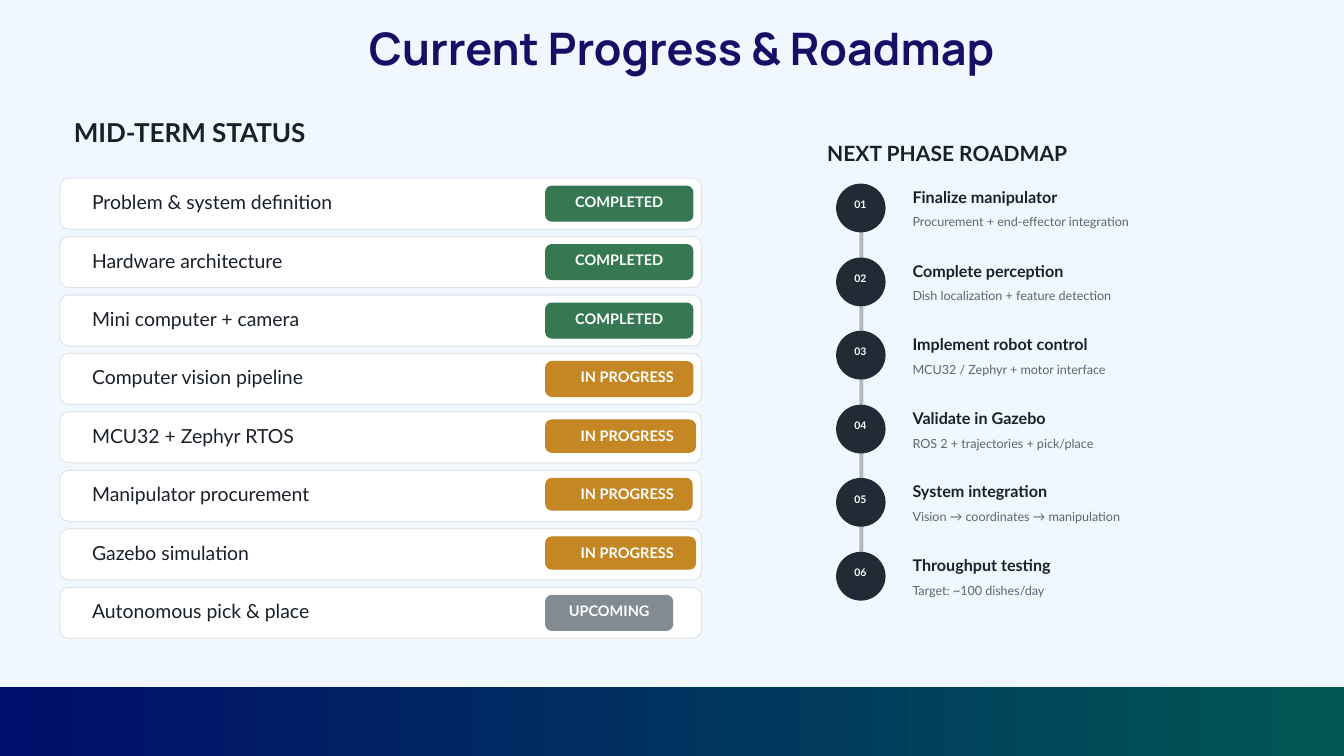
from pptx import Presentation
from pptx.dml.color import RGBColor
from pptx.enum.shapes import MSO_SHAPE as Preset
from pptx.enum.text import MSO_ANCHOR as Anchor, PP_ALIGN as Align
from pptx.util import Emu, Pt

EMU_PER_PX = 9144
SLIDE_W, SLIDE_H = 2000, 1125

SKY = RGBColor(0xF0, 0xF7, 0xFF)
NAVY = RGBColor(0x00, 0x0E, 0x6B)
TEAL = RGBColor(0x00, 0x57, 0x54)
INDIGO = RGBColor(0x18, 0x0E, 0x66)
INK = RGBColor(0x19, 0x20, 0x2A)
SLATE = RGBColor(0x5B, 0x65, 0x73)
CHARCOAL = RGBColor(0x22, 0x2A, 0x35)
RAIL = RGBColor(0xB4, 0xB9, 0xC1)
BORDER = RGBColor(0xE1, 0xE4, 0xE9)
WHITE = RGBColor(0xFF, 0xFF, 0xFF)
GREEN = RGBColor(0x35, 0x78, 0x52)
AMBER = RGBColor(0xC4, 0x87, 0x23)
GREY = RGBColor(0x82, 0x8A, 0x92)

STATUS_STYLES = {
    "COMPLETED": (GREEN, 179),
    "IN PROGRESS": (AMBER, 203),
    "UPCOMING": (GREY, 149),
}
TASKS = [
    ("Problem & system definition", "COMPLETED", 219, 52),
    ("Hardware architecture", "COMPLETED", 219, 52),
    ("Mini computer + camera", "COMPLETED", 219, 52),
    ("Computer vision pipeline", "IN PROGRESS", 219, 52),
    ("MCU32 + Zephyr RTOS", "IN PROGRESS", 223, 48),
    ("Manipulator procurement", "IN PROGRESS", 218, 47),
    ("Gazebo simulation", "IN PROGRESS", 223, 48),
    ("Autonomous pick & place", "UPCOMING", 189, 52),
]
STEPS = [
    ("Finalize manipulator", "Procurement + end-effector integration"),
    ("Complete perception", "Dish localization + feature detection"),
    ("Implement robot control", "MCU32 / Zephyr + motor interface"),
    ("Validate in Gazebo", "ROS 2 + trajectories + pick/place"),
    ("System integration", "Vision → coordinates → manipulation"),
    ("Throughput testing", "Target: ~100 dishes/day"),
]


def px(*lengths):
    """Turn pixel lengths into EMU."""
    return [Emu(round(length * EMU_PER_PX)) for length in lengths]


def add_text(slide, text, box, *, size, leading, color=INK, bold=False,
             font="Lato", align=Align.LEFT):
    """Place one line of text in a box without margins."""
    frame = slide.shapes.add_textbox(*px(*box)).text_frame
    frame.word_wrap = True
    frame.vertical_anchor = Anchor.TOP
    frame.margin_left = frame.margin_top = 0
    frame.margin_right = frame.margin_bottom = 0
    line = frame.paragraphs[0]
    line.alignment = align
    line.line_spacing = Pt(leading)
    run = line.add_run()
    run.text = text
    run.font.name = font
    run.font.size = Pt(size)
    run.font.bold = bold
    run.font.color.rgb = color


def add_panel(slide, preset, box, fill, border=None, radius=None):
    """Place a flat preset shape, with an optional border and corner radius."""
    panel = slide.shapes.add_shape(preset, *px(*box))
    panel.shadow.inherit = False
    panel.fill.solid()
    panel.fill.fore_color.rgb = fill
    if border is None:
        panel.line.fill.background()
    else:
        panel.line.color.rgb = border
        panel.line.width = Pt(1.13)
    if radius is not None:
        panel.adjustments[0] = radius / min(box[2:])
    return panel


def add_footer(slide, box):
    """Draw the gradient band along the bottom."""
    band = add_panel(slide, Preset.RECTANGLE, box, NAVY)
    band.fill.gradient()
    band.fill.gradient_angle = 0
    for stop, color in zip(band.fill.gradient_stops, (NAVY, TEAL)):
        stop.color.rgb = color


def add_task(slide, box, task, status, badge_w, badge_h):
    """Draw one task card with its status badge."""
    left, top, _, _ = box
    color, status_w = STATUS_STYLES[status]
    add_panel(slide, Preset.ROUNDED_RECTANGLE, box, WHITE, BORDER, 13)
    add_panel(slide, Preset.ROUNDED_RECTANGLE,
              (left + 723, top + 12, badge_w, badge_h), color, color, 9)
    add_text(slide, task, (left + 48, top + 18, 644, 34),
             size=20.8, leading=25)
    add_text(slide, status, (left + 743, top + 22, status_w, 25), size=15.6,
             leading=18.7, color=WHITE, bold=True, align=Align.CENTER)


def add_status(slide, box):
    """Fill the status column with its heading and task cards."""
    left, top, width, height = box
    card_h, heading_h = 76, 92
    pitch = (height - heading_h - card_h) / (len(TASKS) - 1)
    add_text(slide, "MID-TERM STATUS", (left + 21, top, width, 46),
             size=27.9, leading=33.5, bold=True)
    for i, task in enumerate(TASKS):
        card_top = round(top + heading_h + i * pitch)
        add_task(slide, (left, card_top, width, card_h), *task)


def add_step(slide, box, number, title, detail):
    """Draw one numbered roadmap step."""
    left, top, width, height = box
    text_left, text_w = left + 113, width - 113
    add_panel(slide, Preset.OVAL, (left, top, 72, height), CHARCOAL, CHARCOAL)
    add_text(slide, f"{number:02d}", (left + 19, top + 21, 33, 19), size=11.2,
             leading=13.5, color=WHITE, bold=True, align=Align.CENTER)
    add_text(slide, title, (text_left, top + 5, text_w, 28),
             size=17.3, leading=20.7, bold=True)
    add_text(slide, detail, (text_left, top + 45, text_w, 23),
             size=13.5, leading=16.2, color=SLATE)


def add_roadmap(slide, box):
    """Fill the roadmap column with its heading, rail and steps."""
    left, top, width, height = box
    step_left, step_h, heading_h = left + 14, 71, 65
    pitch = (height - heading_h - step_h) / (len(STEPS) - 1)
    add_text(slide, "NEXT PHASE ROADMAP", (left, top, width, 38),
             size=22.5, leading=27, bold=True)
    add_panel(slide, Preset.RECTANGLE, (left + 48, top + 81, 6, 593), RAIL)
    for i, step in enumerate(STEPS):
        step_top = round(top + heading_h + i * pitch)
        add_step(slide, (step_left, step_top, width - 14, step_h), i + 1, *step)


def main():
    """Build and save the progress slide."""
    deck = Presentation()
    deck.slide_width, deck.slide_height = px(SLIDE_W, SLIDE_H)
    slide = deck.slides.add_slide(deck.slide_layouts[6])
    slide.background.fill.solid()
    slide.background.fill.fore_color.rgb = SKY
    add_footer(slide, (0, 1022, SLIDE_W, 103))
    add_text(slide, "Current Progress & Roadmap", (177, 17, 1675, 96), size=48,
             leading=67.1, color=INDIGO, bold=True, font="Manrope",
             align=Align.CENTER)
    add_status(slide, (89, 173, 955, 777))
    add_roadmap(slide, (1231, 209, 740, 684))
    deck.save("out.pptx")


if __name__ == "__main__":
    main()
